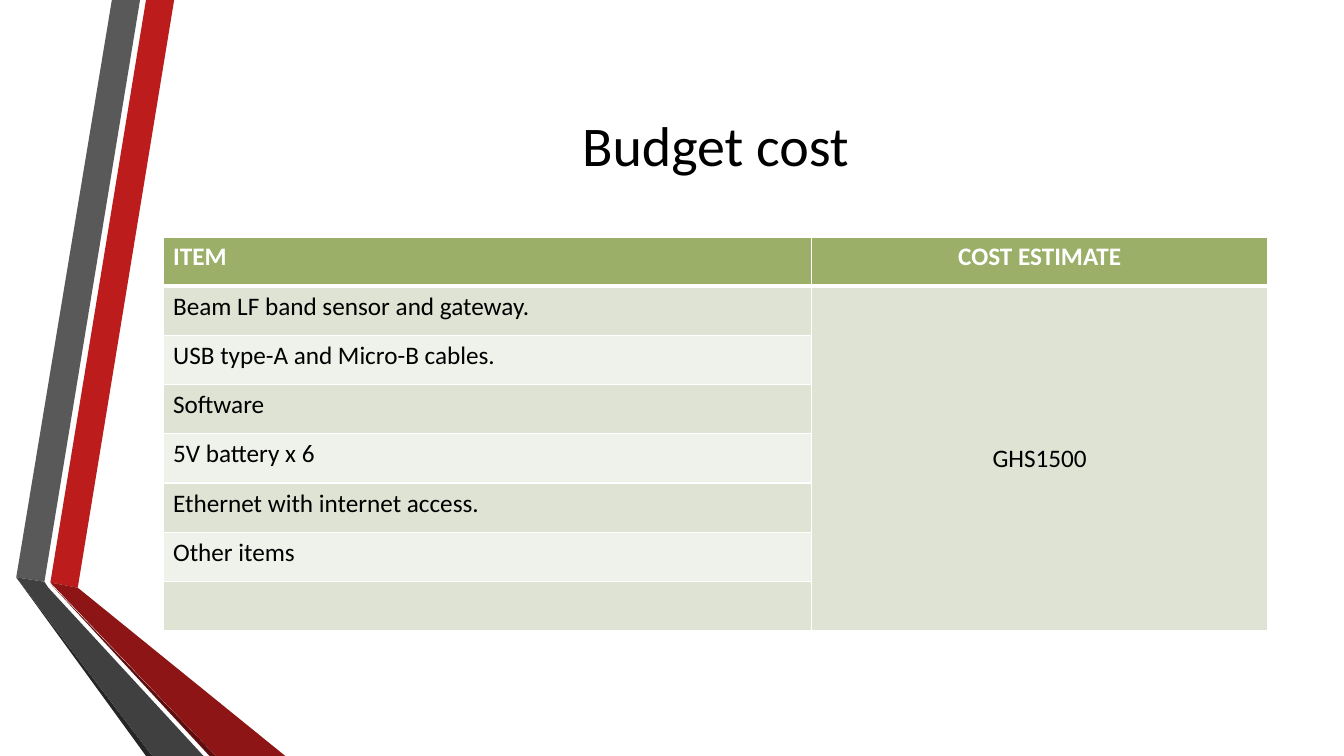
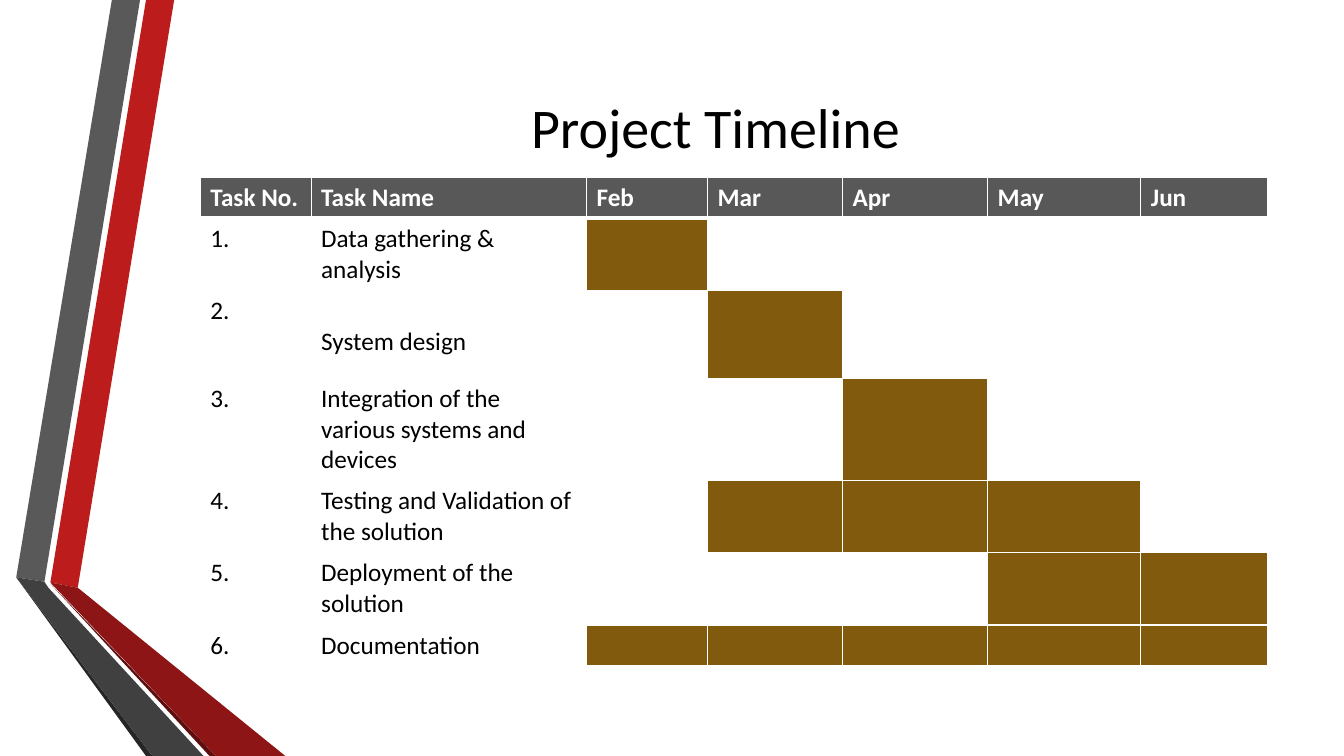
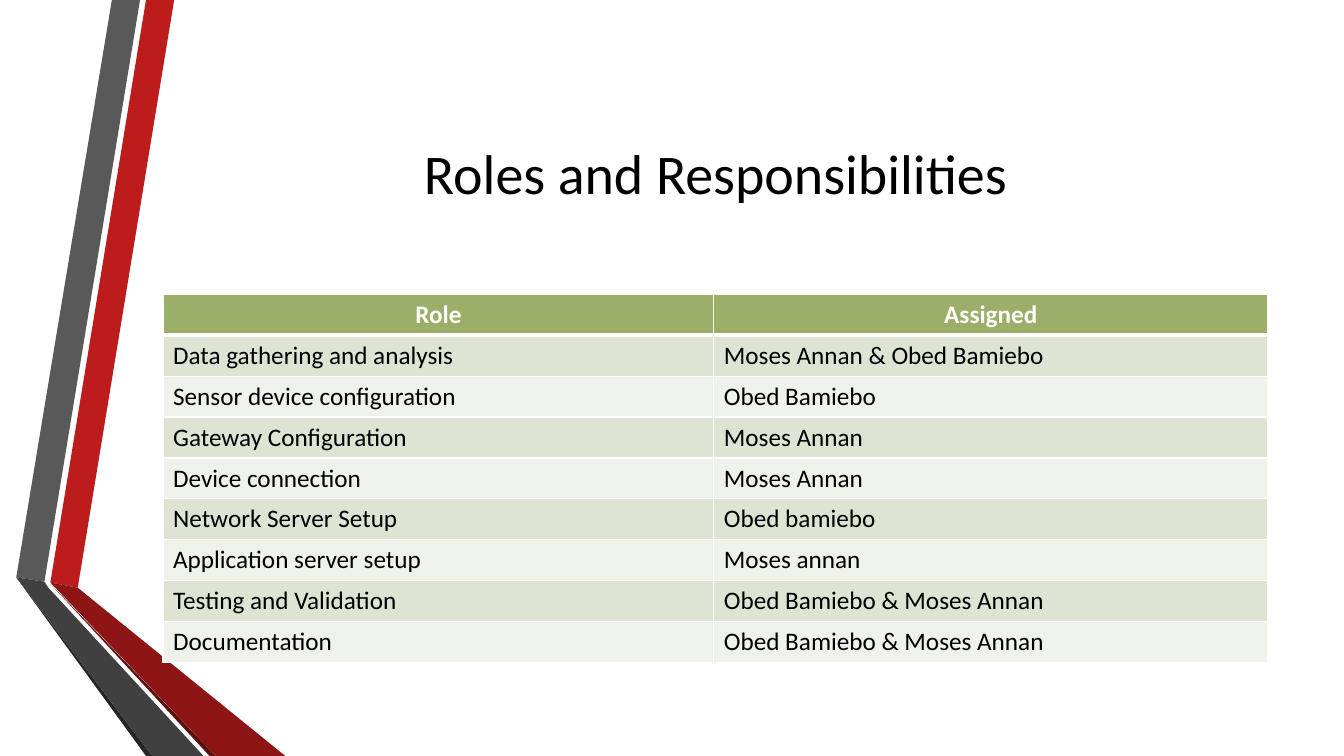
from lxml import etree
from pptx import Presentation
from pptx import util as u
from pptx.dml.color import RGBColor
from pptx.enum import shapes, text
from pptx.oxml.ns import qn

COLORS = {
    "black": "000000", "white": "FFFFFF",
    "red": "BC1C1C", "dark red": "8D1515", "deep red": "5E0E0E",
    "gray": "595959", "dark gray": "404040", "deep gray": "262626",
    "green": "9BAF68", "band": "DEE3D4", "light band": "EFF2EB",
    "timeline header": "585858", "busy": "825A0E",
}
FONT = "Calibri"
TITLE_FORMAT = {"name": FONT, "size": u.Pt(40), "bold": False}
CELL_FORMAT = {"name": FONT, "size": u.Pt(18)}
CONTENT_LEFT, CONTENT_WIDTH, TITLE_TOP = 4.11, 27.84, 1.9

# Outlines in cm, from the top left corner of the ribbon
RIBBON = [
    ("red", [(1.27, 14.68), (1.96, 14.81), (4.39, 0), (3.68, 0)]),
    ("gray", [(3.53, 0), (2.82, 0), (0.41, 14.55), (1.12, 14.66)]),
    ("deep gray", [(0.41, 14.55), (3.68, 19.05), (3.84, 19.05)]),
    ("deep red", [(1.27, 14.71), (5.28, 19.05), (5.44, 19.05)]),
    ("dark red", [(1.27, 14.68), (5.44, 19.05), (7.19, 19.05), (1.96, 14.81)]),
    ("dark gray", [(5.13, 19.05), (1.22, 14.81), (1.12, 14.66), (0.41, 14.55),
                   (3.84, 19.05)]),
]

BUDGET = [
    ["ITEM", "COST ESTIMATE"],
    ["Beam LF band sensor and gateway.", "GHS1500"],
    ["USB type-A and Micro-B cables.", ""],
    ["Software", ""],
    ["5V battery x 6", ""],
    ["Ethernet with internet access.", ""],
    ["Other items", ""],
    ["", ""],
]

MONTHS = ["Feb", "Mar", "Apr", "May", "Jun"]
TASKS = [
    ("Data gathering & analysis", ["Feb"]),
    ("System design", ["Mar"]),
    ("Integration of the various systems and devices", ["Apr"]),
    ("Testing and Validation of the solution", ["Mar", "Apr", "May"]),
    ("Deployment of the solution", ["May", "Jun"]),
    ("Documentation", MONTHS),
]

ROLES = [
    ["Role", "Assigned"],
    ["Data gathering and analysis", "Moses Annan & Obed Bamiebo"],
    ["Sensor device configuration", "Obed Bamiebo"],
    ["Gateway Configuration", "Moses Annan"],
    ["Device connection", "Moses Annan"],
    ["Network Server Setup", "Obed bamiebo"],
    ["Application server setup", "Moses annan"],
    ["Testing and Validation", "Obed Bamiebo & Moses Annan"],
    ["Documentation", "Obed Bamiebo & Moses Annan"],
]


def color(name):
    return RGBColor.from_string(COLORS[name])


def format_font(font, values, color_name):
    for name, value in values.items():
        setattr(font, name, value)
    font.color.rgb = color(color_name)


def add_ribbon(slide, left, top):
    group = slide.shapes.add_group_shape()
    for color_name, outline in RIBBON:
        points = [(u.Cm(left + x), u.Cm(top + y)) for x, y in outline]
        builder = group.shapes.build_freeform(*points[0])
        builder.add_line_segments(points[1:])
        shape = builder.convert_to_shape()
        shape.shadow.inherit = False
        shape.fill.solid()
        shape.fill.fore_color.rgb = color(color_name)
        shape.line.fill.background()
    return group


def prepare_layout(presentation):
    """Return the title layout, with the ribbon as its only decoration."""
    layout = presentation.slide_layouts.get_by_name("Title Only")
    for placeholder in list(layout.placeholders):
        if placeholder.placeholder_format.type != shapes.PP_PLACEHOLDER.TITLE:
            layout.shapes.element.remove(placeholder.element)
    return layout


def add_title(slide, title, height):
    shape = slide.shapes.title
    shape.left, shape.top = u.Cm(CONTENT_LEFT), u.Cm(TITLE_TOP)
    shape.width, shape.height = u.Cm(CONTENT_WIDTH), u.Cm(height)
    frame = shape.text_frame
    frame.text = title
    frame.vertical_anchor = text.MSO_ANCHOR.MIDDLE
    paragraph = frame.paragraphs[0]
    paragraph.alignment = text.PP_ALIGN.CENTER
    format_font(paragraph.runs[0].font, TITLE_FORMAT, "black")


def set_borders(cell, widths):
    """Draw white borders; widths maps left, right, top, bottom to points."""
    properties = cell._tc.get_or_add_tcPr()
    for side, width in widths.items():
        line = etree.SubElement(properties, qn("a:ln" + side[0].upper()),
                                w=str(u.Pt(width)))
        fill = etree.SubElement(line, qn("a:solidFill"))
        etree.SubElement(fill, qn("a:srgbClr"), val=COLORS["white"])


def fill_cell(cell, content, fill_name, is_header, row):
    set_borders(cell, {"left": 1, "right": 1, "top": 3 if row == 1 else 1,
                       "bottom": 3 if is_header else 1})
    if fill_name:
        cell.fill.solid()
        cell.fill.fore_color.rgb = color(fill_name)
    else:
        cell.fill.background()
    cell.text = content
    for run in cell.text_frame.paragraphs[0].runs:
        format_font(run.font, {**CELL_FORMAT, "bold": is_header},
                    "white" if is_header else "black")


def add_table(slide, left, top, widths, heights, rows, fill_for):
    """Add a table; fill_for(row, column) names a body or header fill."""
    frame = slide.shapes.add_table(len(rows), len(widths), u.Cm(left), u.Cm(top),
                                   u.Cm(sum(widths)), u.Cm(sum(heights)))
    table = frame.table
    for column, width in zip(table.columns, widths):
        column.width = u.Cm(width)
    for table_row, height in zip(table.rows, heights):
        table_row.height = u.Cm(height)
    for row, contents in enumerate(rows):
        for column, content in enumerate(contents):
            fill_cell(table.cell(row, column), content, fill_for(row, column),
                      row == 0, row)
    return table


def center(cell):
    cell.text_frame.paragraphs[0].alignment = text.PP_ALIGN.CENTER


def green_banding(row, column):
    if row == 0:
        return "green"
    return "band" if row % 2 else "light band"


def build_budget(slide):
    add_title(slide, "Budget cost", 3.45)
    table = add_table(slide, CONTENT_LEFT, 5.97, [16.34, 11.5],
                      [1.24] * len(BUDGET), BUDGET, green_banding)
    total = table.cell(1, 1)
    total.merge(table.cell(len(BUDGET) - 1, 1))
    total.vertical_anchor = text.MSO_ANCHOR.MIDDLE
    center(total)
    center(table.cell(0, 1))


def build_timeline(slide):
    add_title(slide, "Project Timeline", 2.56)
    rows = [["Task No.", "Task Name", *MONTHS]]
    rows += [[f"{number}.", name] + [""] * len(MONTHS)
             for number, (name, _) in enumerate(TASKS, 1)]

    def timeline_fill(row, column):
        if row == 0:
            return "timeline header"
        is_busy = column > 1 and MONTHS[column - 2] in TASKS[row - 1][1]
        return "busy" if is_busy else None

    table = add_table(slide, 5.05, 4.47,
                      [2.79, 6.94, 3.05, 3.4, 3.66, 3.86, 3.2],
                      [1.02, 1.82, 2.21, 2.58, 1.82, 1.82, 1.02],
                      rows, timeline_fill)
    table.cell(2, 1).margin_top = u.Cm(0.9)


def build_roles(slide):
    add_title(slide, "Roles and Responsibilities", 4.88)
    table = add_table(slide, CONTENT_LEFT, 7.42, [13.88, 13.96],
                      [1.03] * len(ROLES), ROLES, green_banding)
    for cell in table.rows[0].cells:
        center(cell)


def main():
    presentation = Presentation()
    presentation.slide_width, presentation.slide_height = u.Cm(33.87), u.Cm(19.05)
    layout = prepare_layout(presentation)
    builders = [build_budget, build_timeline, build_roles]
    slides = [presentation.slides.add_slide(layout) for _ in builders]
    # Freeforms can only be built on a slide, so the ribbon moves to the layout
    ribbon = add_ribbon(slides[0], 0, 0)
    layout.shapes.element.append(ribbon.element)
    for build, slide in zip(builders, slides):
        build(slide)
    presentation.save("out.pptx")


if __name__ == "__main__":
    main()
